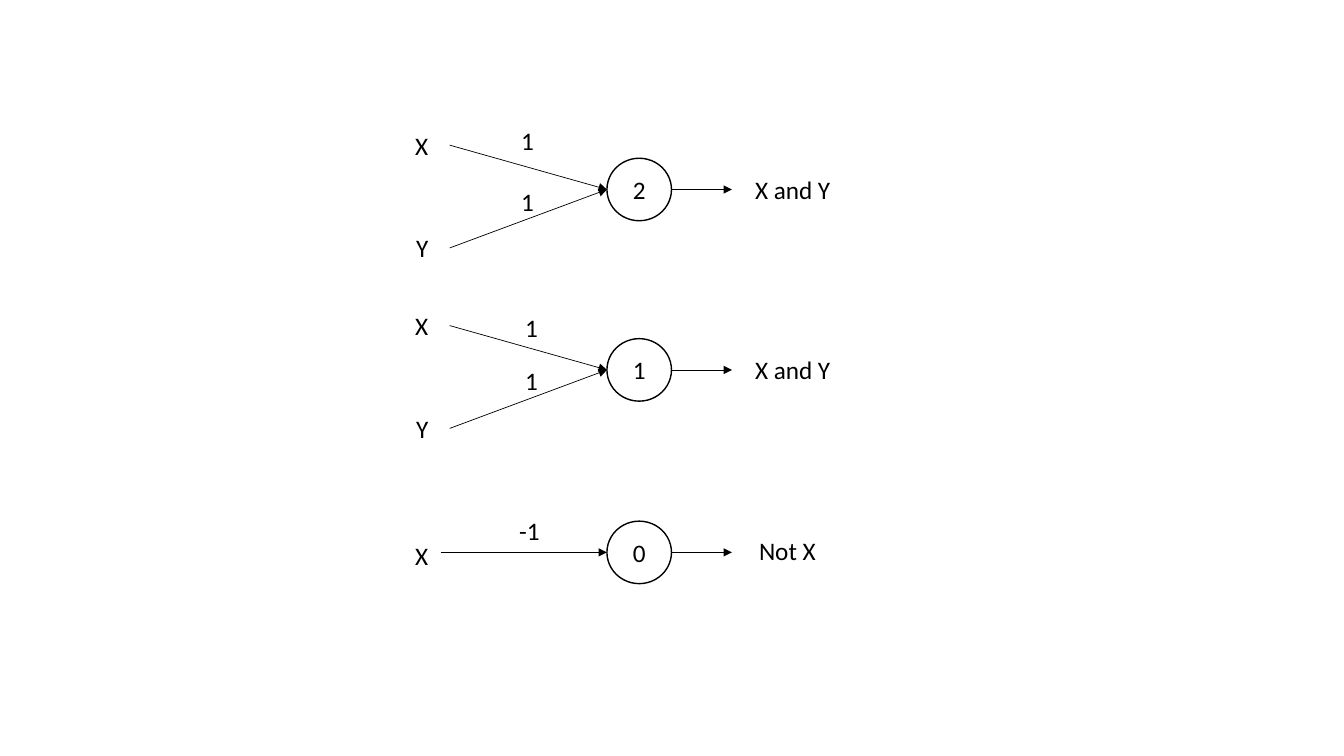
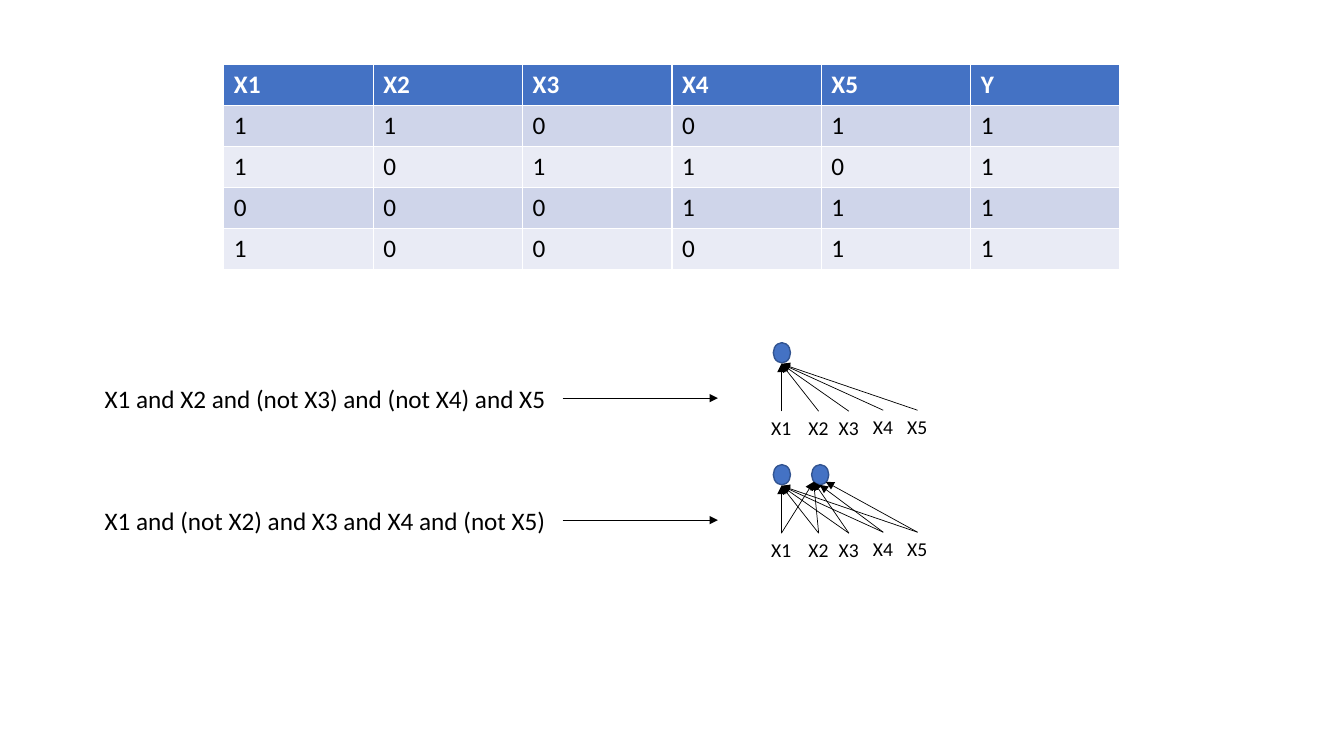
from lxml.etree import SubElement
from pptx import Presentation
from pptx.dml.color import RGBColor
from pptx.enum.shapes import MSO_CONNECTOR, MSO_SHAPE
from pptx.enum.text import MSO_ANCHOR, MSO_AUTO_SIZE, PP_ALIGN
from pptx.oxml.ns import qn
from pptx.util import Inches, Pt

FONT = "Calibri"
BLACK = RGBColor(0x00, 0x00, 0x00)
WHITE = RGBColor(0xFF, 0xFF, 0xFF)
BLUE = RGBColor(0x44, 0x72, 0xC4)
DARK_BLUE = RGBColor(0x32, 0x54, 0x91)
BANDS = (RGBColor(0xE9, 0xEB, 0xF5), RGBColor(0xCF, 0xD5, 0xEA))


def add_item(slide, left, top, width, height, text="", size=18, fill=None, outline=BLACK):
    """Add a text label, or a neuron when a fill is given."""
    box = Inches(left), Inches(top), Inches(width), Inches(height)
    if fill is None:
        item = slide.shapes.add_textbox(*box)
        item.text_frame.word_wrap = False
        item.text_frame.auto_size = MSO_AUTO_SIZE.SHAPE_TO_FIT_TEXT
    else:
        item = slide.shapes.add_shape(MSO_SHAPE.OVAL, *box)
        item.shadow.inherit = False
        item.fill.solid()
        item.fill.fore_color.rgb = fill
        item.line.color.rgb = outline
        item.line.width = Pt(1)
        item.text_frame.vertical_anchor = MSO_ANCHOR.MIDDLE
        item.text_frame.paragraphs[0].alignment = PP_ALIGN.CENTER
    if text:
        run = item.text_frame.paragraphs[0].add_run()
        run.text = text
        run.font.name = FONT
        run.font.size = Pt(size)
        run.font.color.rgb = BLACK


def add_arrow(slide, x1, y1, x2, y2):
    arrow = slide.shapes.add_connector(
        MSO_CONNECTOR.STRAIGHT, Inches(x1), Inches(y1), Inches(x2), Inches(y2))
    arrow.line.color.rgb = BLACK
    arrow.line.width = Pt(0.5)
    SubElement(arrow.line._get_or_add_ln(), qn("a:tailEnd"), type="triangle")
    SubElement(arrow._element.spPr, qn("a:effectLst"))


prs = Presentation()
prs.slide_width = Inches(13.33)
prs.slide_height = Inches(7.5)
blank = prs.slide_layouts[6]

# Slide 1: logic gates as single neurons
gates_slide = prs.slides.add_slide(blank)
NEURON_LEFT, NEURON_WIDTH, NEURON_HEIGHT = 6.02, 0.64, 0.62
LABEL_HEIGHT = 0.4

# Input: name, left, width, top, arrow start x and y; all heights from the gate's axis
X_INPUT = ("X", 4.02, 0.33, -0.64, 4.46, -0.44)
Y_INPUT = ("Y", 4.03, 0.32, 0.38, 4.46, 0.58)
NOT_INPUT = ("X", 4.02, 0.33, -0.17, 4.37, 0)

# Gate: axis, threshold, output (text, left, top, width), inputs, weights (text, left, top, width)
gates = [
    (1.88, "2", ("X and Y", 7.39, -0.2, 0.96), (X_INPUT, Y_INPUT),
     (("1", 5.07, -0.69, 0.33), ("1", 5.07, -0.08, 0.33))),
    (3.67, "1", ("X and Y", 7.39, -0.2, 0.96), (X_INPUT, Y_INPUT),
     (("1", 5.11, -0.62, 0.33), ("1", 5.11, -0.09, 0.33))),
    (5.48, "0", ("Not X", 7.43, -0.22, 0.77), (NOT_INPUT,),
     (("-1", 5.05, -0.42, 0.41),)),
]
for axis, threshold, output, inputs, weights in gates:
    for name, left, width, top, start_x, start_y in inputs:
        add_item(gates_slide, left, axis + top, width, LABEL_HEIGHT, name)
        add_arrow(gates_slide, start_x, axis + start_y, NEURON_LEFT, axis)
    add_item(gates_slide, NEURON_LEFT, axis - NEURON_HEIGHT / 2,
             NEURON_WIDTH, NEURON_HEIGHT, threshold, fill=WHITE)
    add_arrow(gates_slide, NEURON_LEFT + NEURON_WIDTH, axis, 7.26, axis)
    for text, left, top, width in (output, *weights):
        add_item(gates_slide, left, axis + top, width, LABEL_HEIGHT, text)

# Slide 2: truth table
network_slide = prs.slides.add_slide(blank)
truth_rows = [
    ("X1", "X2", "X3", "X4", "X5", "Y"),
    ("1", "1", "0", "0", "1", "1"),
    ("1", "0", "1", "1", "0", "1"),
    ("0", "0", "0", "1", "1", "1"),
    ("1", "0", "0", "0", "1", "1"),
]
truth_table = network_slide.shapes.add_table(
    len(truth_rows), len(truth_rows[0]),
    Inches(2.22), Inches(0.64), Inches(8.89), Inches(2.03)).table
for r, values in enumerate(truth_rows):
    for c, value in enumerate(values):
        cell = truth_table.cell(r, c)
        cell.fill.solid()
        cell.fill.fore_color.rgb = BANDS[r % 2] if r else BLUE
        run = cell.text_frame.paragraphs[0].add_run()
        run.text = value
        run.font.name = FONT
        run.font.size = Pt(18)
        run.font.bold = r == 0
        run.font.color.rgb = BLACK if r else WHITE

# Slide 2: each rule adds one neuron; heights count from the top of the rule
input_points = [(7.75, 0.33), (8.12, 0.33), (8.42, 0.33), (8.76, 0.32), (9.1, 0.32)]
first_neuron = (7.67, -0.35, [(7.75, -0.14)] * 5)
second_neuron = (8.05, -0.35,
                 [(8.07, -0.18)] * 3 + [(8.13, -0.15), (8.19, -0.18)])
rules = [
    (3.75, "X1 and X2 and (not X3) and (not X4) and X5", [first_neuron]),
    (4.96, "X1 and (not X2) and X3 and X4 and (not X5)", [first_neuron, second_neuron]),
]
for top, rule, neurons in rules:
    add_item(network_slide, 0.94, top, 4.64, LABEL_HEIGHT, rule)
    add_arrow(network_slide, 5.58, top + 0.2, 7.12, top + 0.2)
    for number, (x, y) in enumerate(input_points, 1):
        add_item(network_slide, x - 0.2, top + y, 0.4, 0.34, f"X{number}", size=14)
    for left, offset, tips in neurons:
        add_item(network_slide, left, top + offset, 0.17, 0.2, fill=BLUE, outline=DARK_BLUE)
        for (x, y), (tip_x, tip_y) in zip(input_points, tips):
            add_arrow(network_slide, x, top + y, tip_x, top + tip_y)

prs.save("out.pptx")
